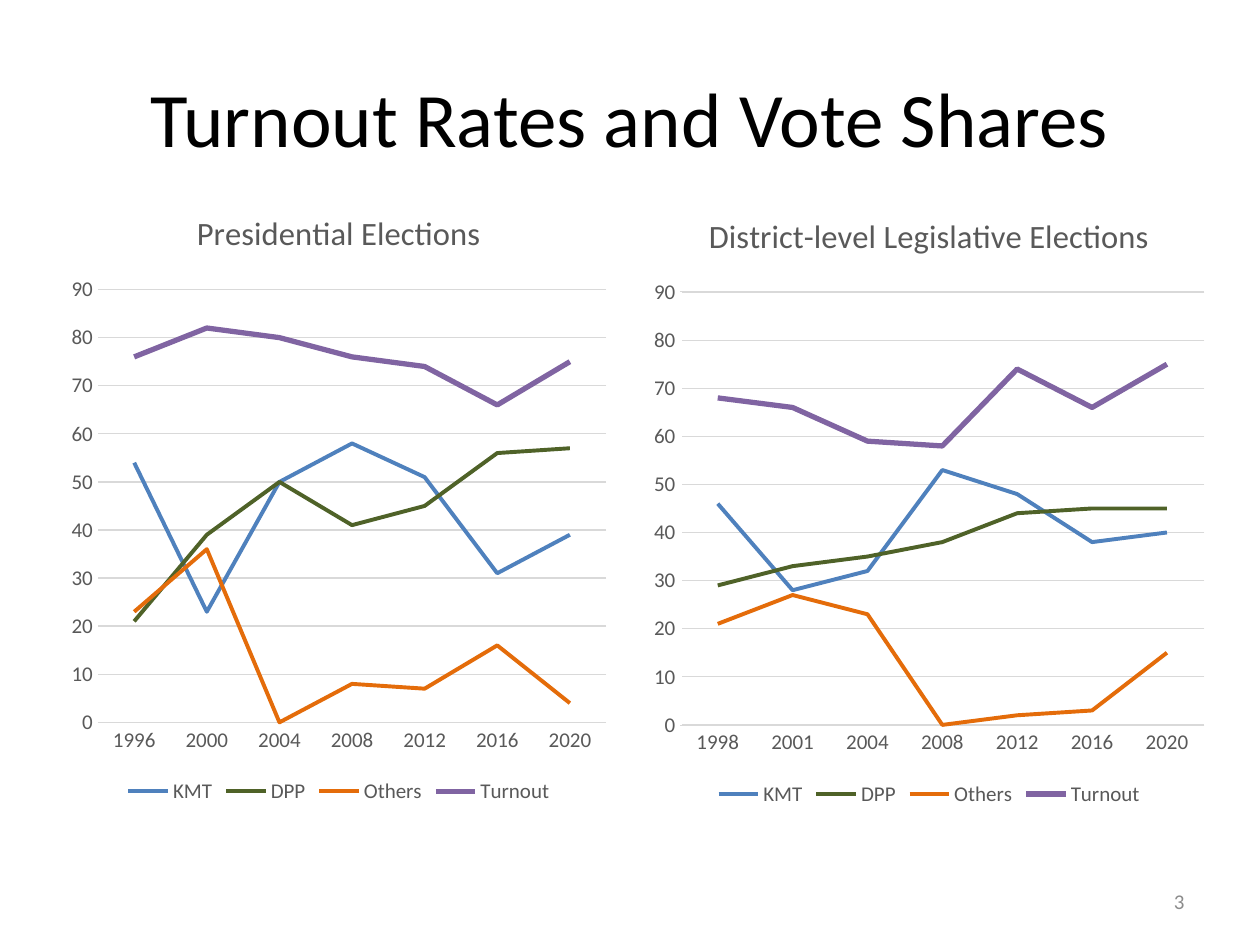
from dataclasses import dataclass
from typing import Optional

from pptx import Presentation
from pptx import util as u
from pptx.chart.data import CategoryChartData
from pptx.dml.color import RGBColor
from pptx.enum import chart as ch
from pptx.enum import text

PX = 9144  # EMU per px, 100 px to the inch
FONT = "Calibri"
BLACK = RGBColor(0x00, 0x00, 0x00)
WHITE = RGBColor(0xFF, 0xFF, 0xFF)
LABEL_GREY = RGBColor(0x59, 0x59, 0x59)
NUMBER_GREY = RGBColor(0x8C, 0x8C, 0x8C)
GRID_GREY = RGBColor(0xD9, 0xD9, 0xD9)


@dataclass(frozen=True)
class Box:
    left: int
    top: int
    width: int
    height: int

    def emu(self) -> tuple[u.Emu, ...]:
        return tuple(u.Emu(v * PX) for v in
                     (self.left, self.top, self.width, self.height))


@dataclass(frozen=True)
class SeriesStyle:
    name: str
    color: RGBColor
    width: float = 2.25


@dataclass(frozen=True)
class ElectionChart:
    title: str
    box: Box
    years: list[str]
    values: list[list[int]]  # one row for each of SERIES
    value_line: Optional[RGBColor] = None


SERIES = [
    SeriesStyle("KMT", RGBColor(0x4F, 0x81, 0xBD)),
    SeriesStyle("DPP", RGBColor(0x4F, 0x62, 0x28)),
    SeriesStyle("Others", RGBColor(0xE4, 0x6C, 0x0A)),
    SeriesStyle("Turnout", RGBColor(0x80, 0x64, 0xA2), 3),
]

CHARTS = [
    ElectionChart(
        "Presidential Elections", Box(48, 147, 442, 495),
        ["1996", "2000", "2004", "2008", "2012", "2016", "2020"],
        [[54, 23, 50, 58, 51, 31, 39],
         [21, 39, 50, 41, 45, 56, 57],
         [23, 36, 0, 8, 7, 16, 4],
         [76, 82, 80, 76, 74, 66, 75]]),
    ElectionChart(
        "District-level Legislative Elections", Box(510, 149, 455, 495),
        ["1998", "2001", "2004", "2008", "2012", "2016", "2020"],
        [[46, 28, 32, 53, 48, 38, 40],
         [29, 33, 35, 38, 44, 45, 45],
         [21, 27, 23, 0, 2, 3, 15],
         [68, 66, 59, 58, 74, 66, 75]],
        value_line=WHITE),
]


def set_font(font, size: float, color: RGBColor) -> None:
    font.name = FONT
    font.size = u.Pt(size)
    font.bold = False
    font.color.rgb = color


def set_line(line, color: RGBColor, width: float) -> None:
    line.color.rgb = color
    line.width = u.Pt(width)


def add_text(slide, box: Box, words: str, size: float, color: RGBColor,
             align: text.PP_ALIGN) -> None:
    tf = slide.shapes.add_textbox(*box.emu()).text_frame
    tf.word_wrap = True
    tf.vertical_anchor = text.MSO_ANCHOR.MIDDLE
    p = tf.paragraphs[0]
    p.text = words
    p.alignment = align
    set_font(p.font, size, color)


def style_axes(chart, value_line: Optional[RGBColor]) -> None:
    years, shares = chart.category_axis, chart.value_axis
    for axis in (years, shares):
        axis.major_tick_mark = axis.minor_tick_mark = ch.XL_TICK_MARK.NONE
        set_font(axis.tick_labels.font, 12, LABEL_GREY)
    set_line(years.format.line, GRID_GREY, 0.75)

    shares.minimum_scale, shares.maximum_scale = 0, 90
    shares.major_unit = 10
    shares.has_major_gridlines = True
    set_line(shares.major_gridlines.format.line, GRID_GREY, 0.75)
    if value_line is None:
        shares.format.line.fill.background()
    else:
        set_line(shares.format.line, value_line, 2)


def add_election_chart(slide, election: ElectionChart) -> None:
    data = CategoryChartData()
    data.categories = election.years
    for style, values in zip(SERIES, election.values):
        data.add_series(style.name, values)
    chart = slide.shapes.add_chart(
        ch.XL_CHART_TYPE.LINE, *election.box.emu(), data).chart
    set_font(chart.font, 10, BLACK)

    chart.has_title = True
    p = chart.chart_title.text_frame.paragraphs[0]
    p.text = election.title
    set_font(p.font, 18.6, LABEL_GREY)
    chart.chart_title.include_in_layout = False

    chart.has_legend = True
    chart.legend.position = ch.XL_LEGEND_POSITION.BOTTOM
    chart.legend.include_in_layout = False
    set_font(chart.legend.font, 12, LABEL_GREY)

    style_axes(chart, election.value_line)
    plot = chart.plots[0]
    plot.vary_by_categories = False
    for series, style in zip(plot.series, SERIES):
        series.smooth = False
        series.marker.style = ch.XL_MARKER_STYLE.NONE
        set_line(series.format.line, style.color, style.width)


def main() -> None:
    prs = Presentation()
    prs.slide_width, prs.slide_height = u.Emu(1000 * PX), u.Emu(750 * PX)
    slide = prs.slides.add_slide(prs.slide_layouts[6])
    add_text(slide, Box(50, 30, 900, 125), "Turnout Rates and Vote Shares",
             44, BLACK, text.PP_ALIGN.CENTER)
    for election in CHARTS:
        add_election_chart(slide, election)
    add_text(slide, Box(717, 695, 233, 40), "3", 12, NUMBER_GREY,
             text.PP_ALIGN.RIGHT)
    prs.save("out.pptx")


if __name__ == "__main__":
    main()
